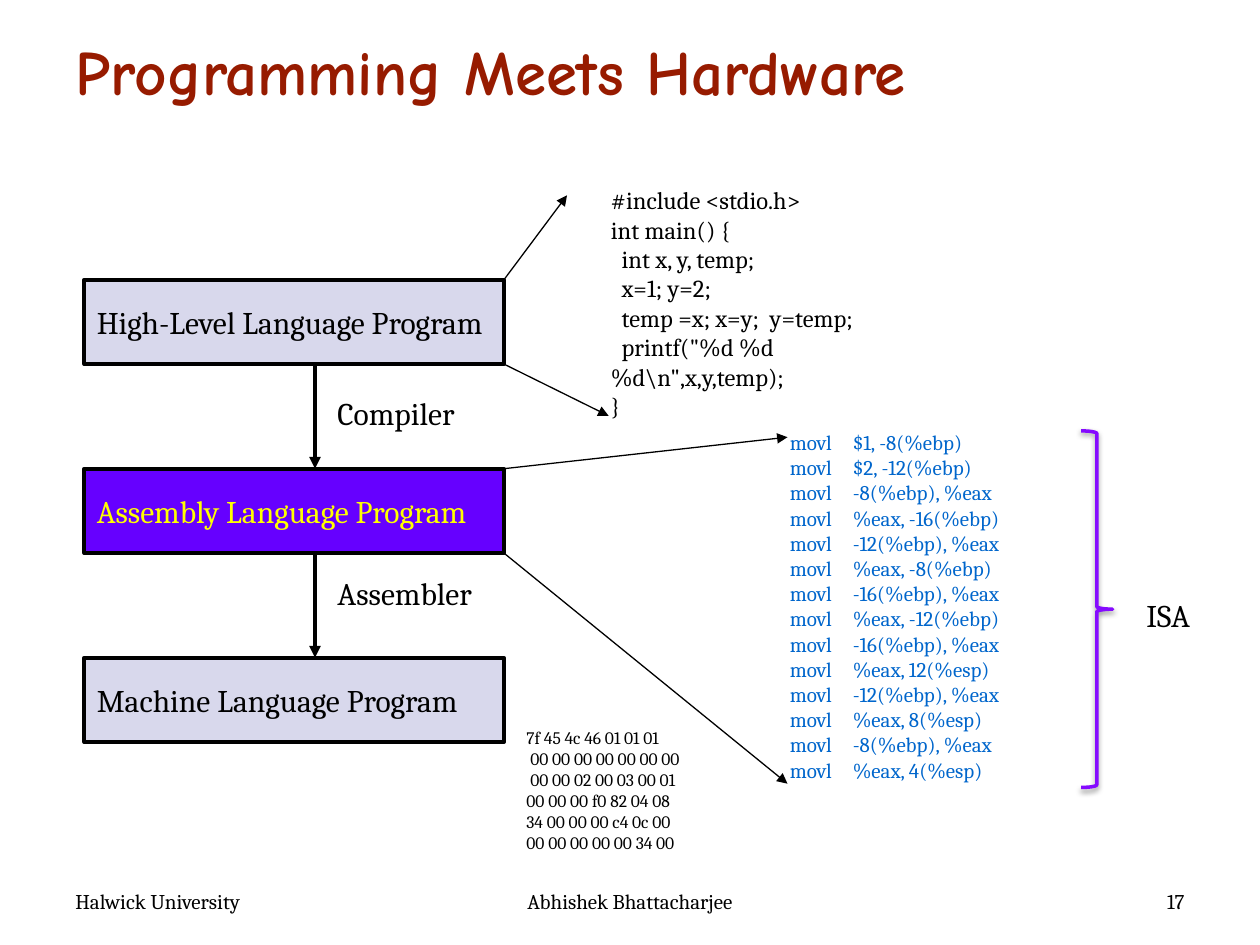
from pptx import Presentation
from pptx.dml.color import RGBColor
from pptx.enum.shapes import MSO_CONNECTOR, MSO_SHAPE
from pptx.enum.text import MSO_ANCHOR, MSO_AUTO_SIZE, PP_ALIGN
from pptx.oxml import parse_xml
from pptx.oxml.ns import nsdecls, qn
from pptx.util import Inches, Pt

LEFT, CENTER, RIGHT = PP_ALIGN.LEFT, PP_ALIGN.CENTER, PP_ALIGN.RIGHT
TOP, MIDDLE, BOTTOM = MSO_ANCHOR.TOP, MSO_ANCHOR.MIDDLE, MSO_ANCHOR.BOTTOM
RECTANGLE, RIGHT_BRACE = MSO_SHAPE.RECTANGLE, MSO_SHAPE.RIGHT_BRACE

THEME = {
    "title_font": "Comic Neue", "body_font": "Cambria",
    "title": "971B00", "ink": "000000", "stage": "D8D8EC",
    "focus": "6600FF", "focus_ink": "FFFF00", "assembly": "0066CC", "brace": "850AFF",
    "title_size": 36, "label_size": 18, "code_size": 14, "small_size": 12, "hex_size": 10,
    "thick": 2.25, "thin": 0.75, "brace_line": 2,
}

TITLE = "Programming Meets Hardware"
STAGES = [
    ("High-Level Language Program", "stage", "ink"),
    ("Assembly Language Program", "focus", "focus_ink"),
    ("Machine Language Program", "stage", "ink"),
]
SOURCE_CODE = [
    "#include <stdio.h>", "int main() {", "  int x, y, temp;", "  x=1; y=2;",
    "  temp =x; x=y;  y=temp;", '  printf("%d %d %d\\n",x,y,temp);', "}",
]
MOVES = [
    "$1, -8(%ebp)", "$2, -12(%ebp)", "-8(%ebp), %eax", "%eax, -16(%ebp)",
    "-12(%ebp), %eax", "%eax, -8(%ebp)", "-16(%ebp), %eax", "%eax, -12(%ebp)",
    "-16(%ebp), %eax", "%eax, 12(%esp)", "-12(%ebp), %eax", "%eax, 8(%esp)",
    "-8(%ebp), %eax", "%eax, 4(%esp)",
]
MACHINE_CODE = [
    "7f 45 4c 46 01 01 01", " 00 00 00 00 00 00 00", " 00 00 02 00 03 00 01",
    "00 00 00 f0 82 04 08", "34 00 00 00 c4 0c 00", "00 00 00 00 00 34 00",
]

STAGE_LEFT, STAGE_TOP, STAGE_WIDTH, STAGE_HEIGHT, STAGE_STEP = 0.67, 2.22, 3.33, 0.67, 1.5
STAGE_RIGHT = STAGE_LEFT + STAGE_WIDTH
FLOW_X = 2.5
CALLOUTS = [
    (0, (4.5, 1.55), (4.83, 3.3)),
    (1, (6.25, 3.47), (6.25, 6.22)),
]
TEXTS = [
    (["Halwick University"], (0.5, 7, 1.58, 0.3), "small_size", "ink", LEFT, TOP),
    (["Abhishek Bhattacharjee"], (4, 7, 2, 0.3), "small_size", "ink", CENTER, TOP),
    (["17"], (7.92, 7, 1.58, 0.3), "small_size", "ink", RIGHT, TOP),
    (["movl\t" + move for move in MOVES], (6.17, 3.36, 2.4, 2.9),
     "small_size", "assembly", LEFT, TOP),
    (MACHINE_CODE, (4.08, 5.72, 1.45, 1.1), "hex_size", "ink", LEFT, MIDDLE),
    (SOURCE_CODE, (4.75, 1.42, 2.84, 2.22), "code_size", "ink", LEFT, TOP),
    (["ISA"], (9, 4.68, 0.61, 0.4), "label_size", "ink", LEFT, TOP),
    (["Compiler"], (2.58, 3.08, 1.2, 0.4), "label_size", "ink", LEFT, TOP),
    (["Assembler"], (2.58, 4.51, 1.35, 0.4), "label_size", "ink", LEFT, TOP),
]


def color(key):
    return RGBColor.from_string(THEME[key])


def inches(values):
    return [Inches(value) for value in values]


def write(frame, lines, size, ink, align=LEFT, anchor=TOP, font="body_font", bold=False):
    frame.text = "\n".join(lines)
    frame.word_wrap = True
    frame.auto_size = MSO_AUTO_SIZE.NONE
    frame.vertical_anchor = anchor
    for paragraph in frame.paragraphs:
        paragraph.alignment = align
        for run in paragraph.runs:
            run.font.name = THEME[font]
            run.font.size = Pt(THEME[size])
            run.font.bold = bold
            run.font.color.rgb = color(ink)


def add_arrow(start, end, weight):
    arrow = slide.shapes.add_connector(MSO_CONNECTOR.STRAIGHT, *inches(start + end))
    arrow.line.color.rgb = color("ink")
    arrow.line.width = Pt(THEME[weight])
    arrow.line._get_or_add_ln().append(
        parse_xml(f'<a:tailEnd {nsdecls("a")} type="triangle"/>'))
    arrow._element.spPr.append(parse_xml(f'<a:effectLst {nsdecls("a")}/>'))


def add_outline(kind, area, line, weight):
    outline = slide.shapes.add_shape(kind, *inches(area))
    outline.shadow.inherit = False
    outline.line.color.rgb = color(line)
    outline.line.width = Pt(THEME[weight])
    return outline


def stage_top(index):
    return STAGE_TOP + index * STAGE_STEP


deck = Presentation()
deck.slide_width, deck.slide_height = Inches(10), Inches(7.5)
slide = deck.slides.add_slide(deck.slide_layouts[5])

heading = slide.shapes.title
heading.left, heading.top, heading.width, heading.height = inches((0.5, 0.13, 9, 0.78))
write(heading.text_frame, [TITLE], "title_size", "title", LEFT, BOTTOM, "title_font", True)

for index, (label, fill, ink) in enumerate(STAGES):
    area = (STAGE_LEFT, stage_top(index), STAGE_WIDTH, STAGE_HEIGHT)
    stage = add_outline(RECTANGLE, area, "ink", "thick")
    stage.fill.solid()
    stage.fill.fore_color.rgb = color(fill)
    write(stage.text_frame, [label], "label_size", ink, LEFT, MIDDLE)
    if index:
        add_arrow((FLOW_X, stage_top(index - 1) + STAGE_HEIGHT),
                  (FLOW_X, stage_top(index)), "thick")

for index, upper, lower in CALLOUTS:
    add_arrow((STAGE_RIGHT, stage_top(index)), upper, "thin")
    add_arrow((STAGE_RIGHT, stage_top(index) + STAGE_HEIGHT), lower, "thin")

for lines, area, size, ink, align, anchor in TEXTS:
    box = slide.shapes.add_textbox(*inches(area))
    write(box.text_frame, lines, size, ink, align, anchor)

brace = add_outline(RIGHT_BRACE, (8.58, 3.42, 0.25, 2.83), "brace", "brace_line")
brace.fill.background()
brace._element.spPr.find(qn("a:effectLst")).append(parse_xml(
    f'<a:outerShdw {nsdecls("a")} blurRad="{Pt(3.1)}" dist="{Pt(1.6)}" dir="5400000" '
    f'rotWithShape="0"><a:srgbClr val="{THEME["ink"]}"><a:alpha val="38000"/>'
    '</a:srgbClr></a:outerShdw>'))

deck.save("out.pptx")
